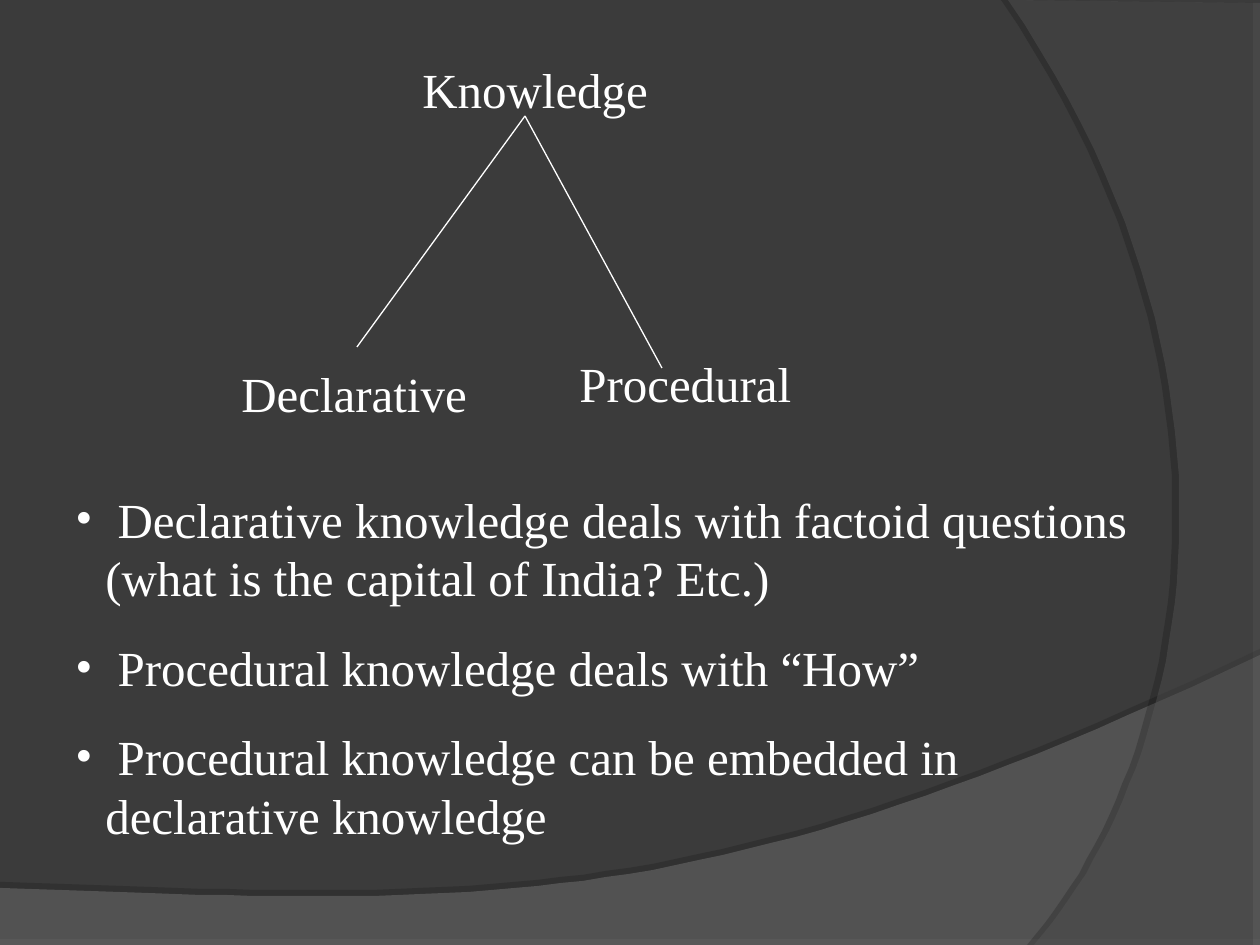
from lxml.etree import SubElement
from pptx import Presentation
from pptx.dml.color import RGBColor
from pptx.enum.shapes import MSO_CONNECTOR as Connector
from pptx.enum.text import MSO_AUTO_SIZE as AutoSize
from pptx.oxml.ns import qn
from pptx.util import Emu, Pt

PX = 914400 // 126
WHITE = "FFFFFF"
CURVE_STEPS = 48


def px(length):
    return Emu(length * PX)


def color(value):
    return RGBColor.from_string(value)


def add_node(parent, tag, **attributes):
    node = SubElement(parent, qn(tag))
    for name, value in attributes.items():
        node.set(name, str(value))
    return node


def curve(start, control_1, control_2, end):
    """Points along a cubic Bezier curve, in px, both ends included."""
    points = []
    for step in range(CURVE_STEPS + 1):
        t = step / CURVE_STEPS
        weights = ((1 - t) ** 3, 3 * t * (1 - t) ** 2, 3 * t * t * (1 - t), t ** 3)
        corners = (start, control_1, control_2, end)
        points.append(tuple(sum(w * corner[axis] for w, corner in zip(weights, corners))
                            for axis in (0, 1)))
    return points


class SlideBuilder:
    font = "Times New Roman"
    size = Pt(28)
    space_before = Pt(17.5)
    bullet_indent = 30

    def __init__(self, slide, background):
        self.slide = slide
        slide.background.fill.solid()
        slide.background.fill.fore_color.rgb = color(background)

    def wave(self, points, fill, opacity, shadow_opacity, shadow_distance, shadow_angle):
        """Translucent outline with a hard-edged shadow; opacities in percent."""
        builder = self.slide.shapes.build_freeform(*points[0], scale=PX)
        builder.add_line_segments(points[1:], close=True)
        shape = builder.convert_to_shape()
        shape.line.fill.background()
        shape.fill.solid()
        shape.fill.fore_color.rgb = color(fill)
        properties = shape.fill._xPr
        add_node(properties.find(".//" + qn("a:srgbClr")), "a:alpha", val=opacity * 1000)
        effects = add_node(properties, "a:effectLst")
        shadow = add_node(effects, "a:outerShdw", blurRad=0, dist=Pt(shadow_distance),
                          dir=shadow_angle * 60000, algn="ctr", rotWithShape=0)
        tint = add_node(shadow, "a:srgbClr", val="000000")
        add_node(tint, "a:alpha", val=shadow_opacity * 1000)

    def text(self, left, top, width, height, lines, bullets=False):
        box = self.slide.shapes.add_textbox(*map(px, (left, top, width, height)))
        frame = box.text_frame
        frame.word_wrap = True
        frame.auto_size = AutoSize.SHAPE_TO_FIT_TEXT
        for index, line in enumerate(lines):
            para = frame.add_paragraph() if index else frame.paragraphs[0]
            para.space_before = self.space_before
            if bullets:
                self.bullet(para)
            span = para.add_run()
            span.text = line
            span.font.name = self.font
            span.font.size = self.size
            span.font.color.rgb = color(WHITE)

    def bullet(self, para):
        properties = para._p.get_or_add_pPr()
        properties.set("marL", str(px(self.bullet_indent)))
        properties.set("indent", str(-px(self.bullet_indent)))
        add_node(add_node(properties, "a:buClr"), "a:srgbClr", val=WHITE)
        add_node(properties, "a:buFont", typeface=self.font)
        add_node(properties, "a:buChar", char="•")

    def line(self, start, end):
        connector = self.slide.shapes.add_connector(
            Connector.STRAIGHT, *map(px, (*start, *end)))
        connector.line.color.rgb = color(WHITE)
        connector.line.width = Pt(0.75)
        add_node(connector._element.spPr, "a:effectLst")


def main():
    deck = Presentation()
    deck.slide_width, deck.slide_height = px(1260), px(945)
    page = SlideBuilder(deck.slides.add_slide(deck.slide_layouts[6]), "3B3B3B")

    bottom_edge = curve((1260, 655), (704, 919), (493, 906), (0, 888))
    page.wave([(0, 945), (1260, 945)] + bottom_edge, "7C7C7C", 45, 35, 3.5, 270)
    right_edge = curve((1034, 945), (1178, 780), (1283, 402), (1008, 0))
    page.wave([(1260, 3), (1260, 945)] + right_edge, "595959", 40, 45, 4, 180)

    page.text(410, 53, 315, 72, ["Knowledge"])
    root = (525, 116)
    for branch_end in ((357, 347), (662, 368)):
        page.line(root, branch_end)
    page.text(229, 357, 294, 72, ["Declarative"])
    page.text(567, 347, 368, 72, ["Procedural"])

    page.text(63, 483, 1102, 368, [
        " Declarative knowledge deals with factoid questions (what is the capital of India? Etc.)",
        " Procedural knowledge deals with “How”",
        " Procedural knowledge can be embedded in declarative knowledge",
    ], bullets=True)

    deck.save("out.pptx")


if __name__ == "__main__":
    main()
